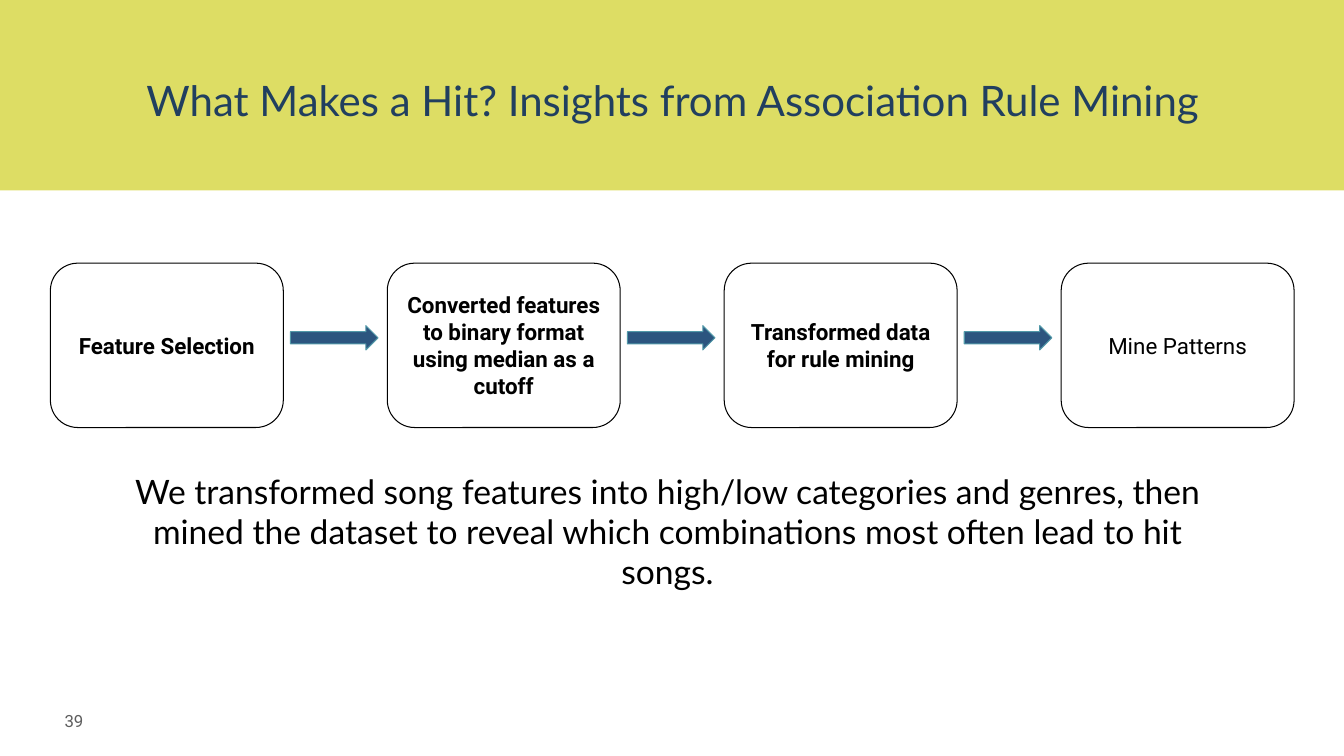
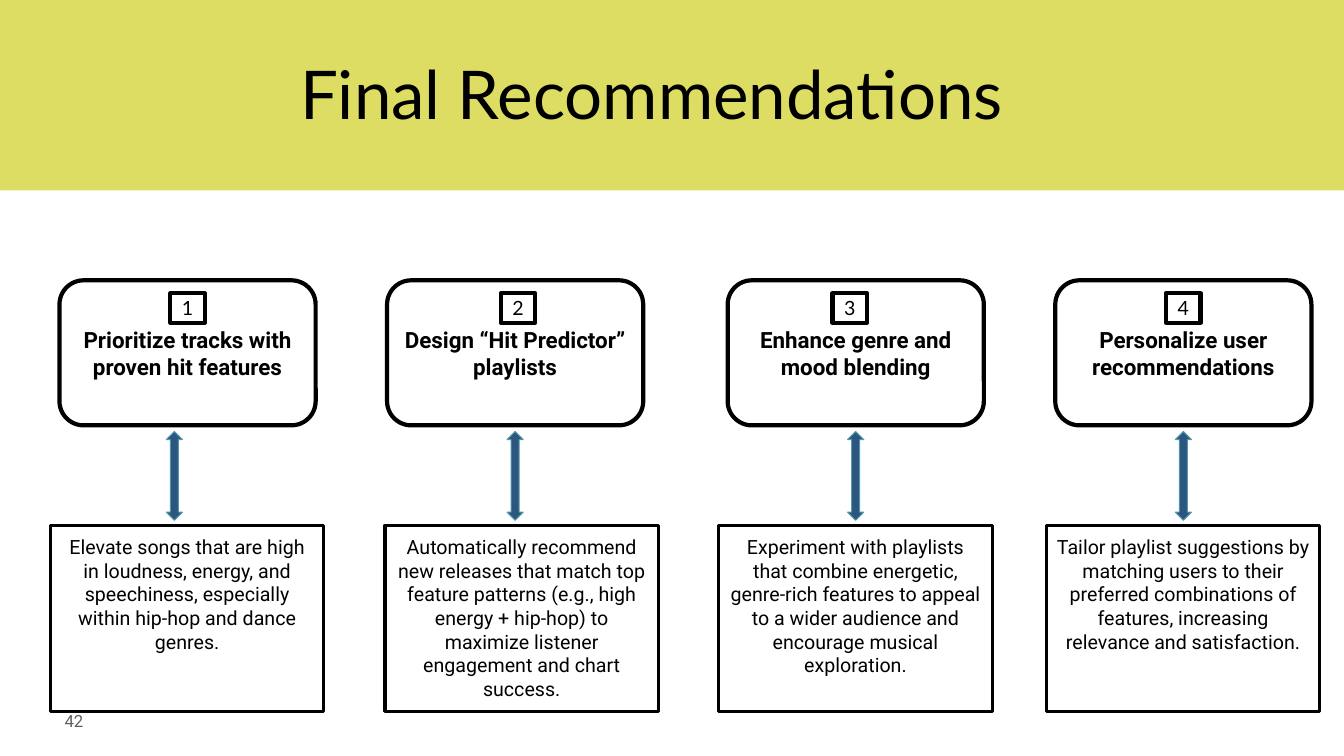
from pptx import Presentation
from pptx.dml.color import RGBColor
from pptx.enum.shapes import MSO_SHAPE
from pptx.enum.text import MSO_ANCHOR, PP_ALIGN
from pptx.util import Pt

RECT, ROUND = MSO_SHAPE.RECTANGLE, MSO_SHAPE.ROUNDED_RECTANGLE
RIGHT, UPDOWN = MSO_SHAPE.RIGHT_ARROW, MSO_SHAPE.UP_DOWN_ARROW
TOP, MIDDLE = MSO_ANCHOR.TOP, MSO_ANCHOR.MIDDLE
LEFT, CENTER = PP_ALIGN.LEFT, PP_ALIGN.CENTER

WIDE, HIGH = 960, 540
LIME, NAVY, BLUE, TEAL = "DDDD64", "213F5F", "2C557F", "5198A8"
BLACK, GREY = "000000", "5E5E5E"

TITLE = {"name": "Lato", "size": Pt(30)}
HERO = {"name": "Lato", "size": Pt(48)}
BODY = {"name": "Lato", "size": Pt(24)}
DIGIT = {"name": "Lato", "size": Pt(14)}
HEAD = {"name": "Roboto", "size": Pt(16), "bold": True}
PLAIN = {"name": "Roboto", "size": Pt(16)}
SMALL = {"name": "Roboto", "size": Pt(14)}
FOOT = {"name": "Roboto", "size": Pt(12)}

STEPS = [
    ("Feature Selection", HEAD),
    ("Converted features to binary format using median as a cutoff", HEAD),
    ("Transformed data for rule mining", HEAD),
    ("Mine Patterns", PLAIN),
]
SUMMARY = (
    "We transformed song features into high/low categories and genres, then "
    "mined the dataset to reveal which combinations most often lead to hit songs."
)
ADVICE = [
    ("Prioritize tracks with proven hit features",
     "Elevate songs that are high in loudness, energy, and speechiness, "
     "especially within hip-hop and dance genres."),
    ("Design “Hit Predictor” playlists",
     "Automatically recommend new releases that match top feature patterns "
     "(e.g., high energy + hip-hop) to maximize listener engagement and "
     "chart success."),
    ("Enhance genre and mood blending",
     "Experiment with playlists that combine energetic, genre-rich features "
     "to appeal to a wider audience and encourage musical exploration."),
    ("Personalize user recommendations",
     "Tailor playlist suggestions by matching users to their preferred "
     "combinations of features, increasing relevance and satisfaction."),
]
SPOTS = [
    {"note": 36, "card": 42.5, "badge": 121.7, "arrow": 118.8},
    {"note": 275, "card": 276.5, "badge": 357.8, "arrow": 362.2},
    {"note": 513.4, "card": 519.8, "badge": 594.7, "arrow": 605.5},
    {"note": 747.4, "card": 753.8, "badge": 833, "arrow": 839.5},
]


def color(code):
    """Turn a hex string into a colour."""
    return RGBColor.from_string(code)


def write(shape, text, font, ink=BLACK, anchor=MIDDLE, align=CENTER, pad=7.2, gap=None):
    """Fill a shape's frame with one styled paragraph."""
    frame = shape.text_frame
    values = {"word_wrap": True, "vertical_anchor": anchor,
              "margin_left": Pt(7.2), "margin_right": Pt(7.2),
              "margin_top": Pt(pad), "margin_bottom": Pt(pad)}
    for name, value in values.items():
        setattr(frame, name, value)
    para = frame.paragraphs[0]
    para.alignment, para.line_spacing = align, gap
    run = para.add_run()
    run.text = text
    for name, value in font.items():
        setattr(run.font, name, value)
    run.font.color.rgb = color(ink)


def draw(slide, kind, box, fill=None, line=None, width=0.75):
    """Add a flat preset shape in a box of points."""
    shape = slide.shapes.add_shape(kind, *map(Pt, box))
    shape.shadow.inherit = False
    if fill:
        shape.fill.solid()
        shape.fill.fore_color.rgb = color(fill)
    else:
        shape.fill.background()
    if line:
        shape.line.color.rgb = color(line)
        shape.line.width = Pt(width)
    else:
        shape.line.fill.background()
    return shape


def label(slide, box, text, font, **style):
    """Add a text box in a box of points."""
    write(slide.shapes.add_textbox(*map(Pt, box)), text, font, **style)


def base(deck, page):
    """Add a blank slide with the band and page number."""
    slide = deck.slides.add_slide(deck.slide_layouts[6])
    draw(slide, RECT, (0, 0, WIDE, 136), LIME)
    label(slide, (39, 500.4, 87, 28.8), page, FOOT, ink=GREY, align=LEFT, pad=3.6)
    return slide


def flow(slide, box):
    """Spread the process steps over a box, with arrows between them."""
    left, top, wide, high = box
    size = 166.4
    pitch = (wide - size) / (len(STEPS) - 1)
    for i, (text, font) in enumerate(STEPS):
        x = left + i * pitch
        write(draw(slide, ROUND, (x, top, size, high), line=BLACK), text, font)
        if i:
            draw(slide, RIGHT, (x - 69.2, top + 44.6, 62.6, 17.4), BLUE, TEAL)


def column(slide, top, mark, spot, head, note):
    """Stack a numbered card, an arrow and a note below the given top."""
    card = draw(slide, ROUND, (spot["card"], top, 183, 103.6), line=BLACK, width=3)
    write(card, head, HEAD)
    badge = draw(slide, RECT, (spot["badge"], top + 9.3, 24.6, 21), line=BLACK, width=3)
    write(badge, mark, DIGIT)
    draw(slide, UPDOWN, (spot["arrow"], top + 108, 11.5, 63.4), BLUE, TEAL)
    panel = draw(slide, RECT, (spot["note"], top + 175, 195.4, 133), line=BLACK, width=2.25)
    write(panel, note, SMALL, anchor=TOP)


def mining(deck):
    """Build the rule mining slide."""
    slide = base(deck, "39")
    label(slide, (39, 28.8, 883.4, 90), "What Makes a Hit? Insights from Association Rule Mining",
          TITLE, ink=NAVY, pad=3.6, gap=0.9)
    flow(slide, (36, 188, 888.4, 117.4))
    label(slide, (88, 329, 777.6, 134), SUMMARY, BODY, anchor=TOP)


def final(deck):
    """Build the recommendations slide."""
    slide = base(deck, "42")
    label(slide, (115.2, 30.2, 700.6, 72.7), "Final Recommendations", HERO, anchor=TOP)
    for i, (spot, (head, note)) in enumerate(zip(SPOTS, ADVICE), 1):
        column(slide, 200.2, str(i), spot, head, note)


def main():
    """Build and save the deck."""
    deck = Presentation()
    deck.slide_width, deck.slide_height = Pt(WIDE), Pt(HIGH)
    mining(deck)
    final(deck)
    deck.save("out.pptx")


if __name__ == "__main__":
    main()
